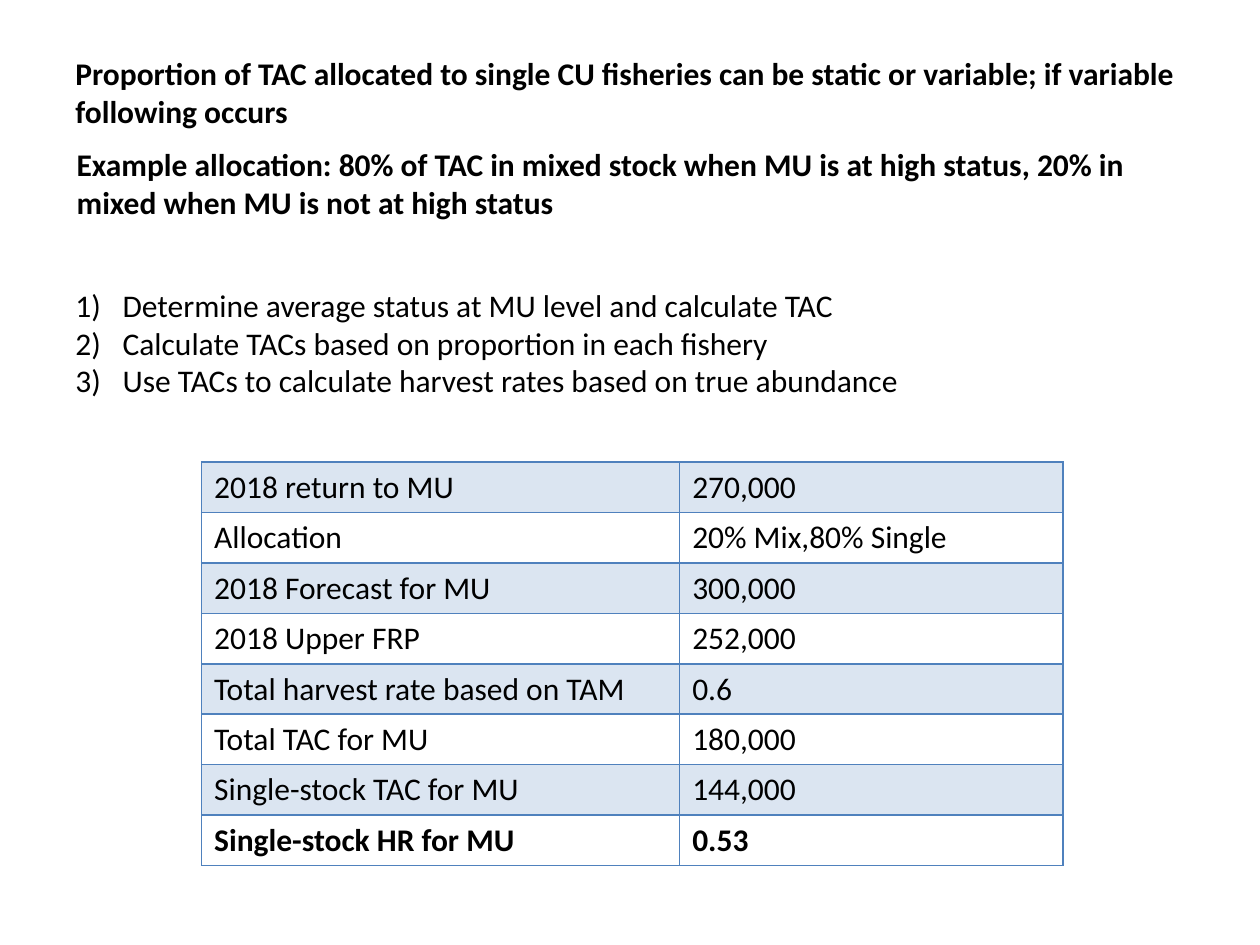
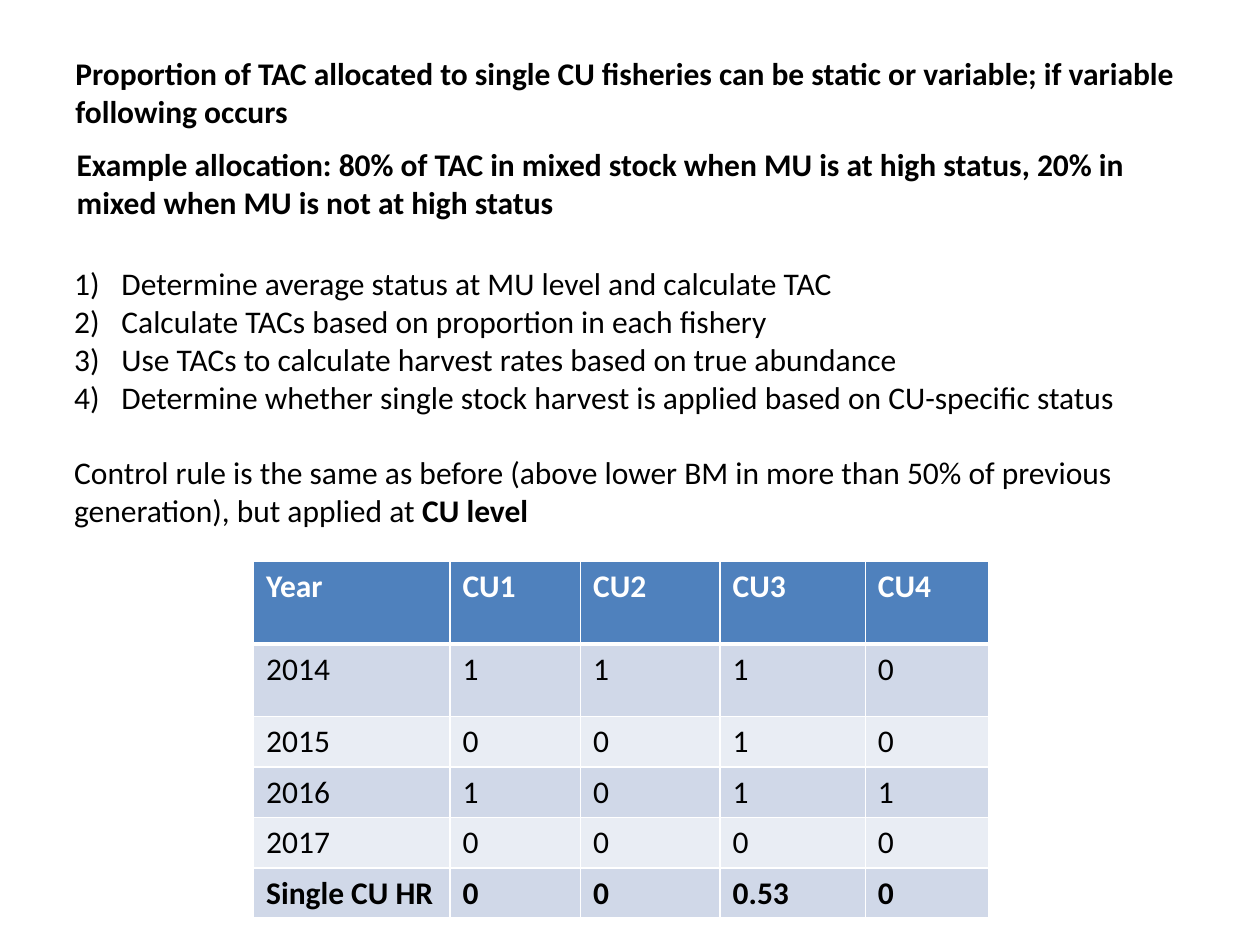
from lxml.etree import SubElement
from pptx import Presentation
from pptx.dml.color import RGBColor
from pptx.enum.text import MSO_AUTO_SIZE as AutoSize
from pptx.oxml.ns import qn
from pptx.util import Pt

BLACK, WHITE, BLUE = "000000", "FFFFFF", "4F81BD"
BAND_DARK, BAND_LIGHT = "D0D8E8", "E9EDF4"

PREMISE = ("Proportion of TAC allocated to single CU fisheries can be static "
           "or variable; if variable following occurs")
EXAMPLE = ("Example allocation: 80% of TAC in mixed stock when MU is at high "
           "status, 20% in mixed when MU is not at high status")
STEPS = [
    "Determine average status at MU level and calculate TAC",
    "Calculate TACs based on proportion in each fishery",
    "Use TACs to calculate harvest rates based on true abundance",
    "Determine whether single stock harvest is applied based on CU-specific status",
]
CONTROL_RULE = [
    ("Control rule is the same as before (above lower BM in more than 50% of "
     "previous generation), but applied at ", False),
    ("CU level", True),
]

MU_HARVEST = [
    ("2018 return to MU", "270,000"),
    ("Allocation", "20% Mix,80% Single"),
    ("2018 Forecast for MU", "300,000"),
    ("2018 Upper FRP", "252,000"),
    ("Total harvest rate based on TAM", "0.6"),
    ("Total TAC for MU", "180,000"),
    ("Single-stock TAC for MU", "144,000"),
    ("Single-stock HR for MU", "0.53"),
]
CU_STATUS = [
    ("Year", "CU1", "CU2", "CU3", "CU4"),
    ("2014", "1", "1", "1", "0"),
    ("2015", "0", "0", "1", "0"),
    ("2016", "1", "0", "1", "1"),
    ("2017", "0", "0", "0", "0"),
    ("Single CU HR", "0", "0", "0.53", "0"),
]


def rgb(color):
    return RGBColor.from_string(color)


def apply(target, formats):
    for name, value in formats.items():
        setattr(target, name, value)


class Deck:
    """Holds the text style and the slide being filled."""

    text_style = {"name": "Calibri", "size": Pt(18)}
    frame_style = {"word_wrap": True, "auto_size": AutoSize.SHAPE_TO_FIT_TEXT}
    plain_table = {"first_row": False, "horz_banding": False}
    step_indent = {"marL": Pt(27), "indent": Pt(-27)}
    row_height = 28.8

    def __init__(self):
        self.prs = Presentation()
        apply(self.prs, {"slide_width": Pt(720), "slide_height": Pt(540)})

    def new_slide(self):
        self.slide = self.prs.slides.add_slide(self.prs.slide_layouts[6])
        self.text_block(36, 27.4, 649, 51, [[(PREMISE, True)]])
        self.text_block(36.7, 79.2, 649, 51, [[(EXAMPLE, True)]])

    def add_text(self, paragraph, text, bold=False, color=BLACK):
        run = paragraph.add_run()
        run.text = text
        apply(run.font, {**self.text_style, "bold": bold})
        run.font.color.rgb = rgb(color)

    def text_block(self, left, top, width, height, paragraphs):
        """Add a text box; each paragraph is a list of (text, bold) runs."""
        box = self.slide.shapes.add_textbox(Pt(left), Pt(top), Pt(width), Pt(height))
        frame = box.text_frame
        apply(frame, self.frame_style)
        for index, runs in enumerate(paragraphs):
            paragraph = frame.add_paragraph() if index else frame.paragraphs[0]
            for text, bold in runs:
                self.add_text(paragraph, text, bold)
        return frame

    def steps(self, left, top, width, height, steps, closing=None):
        """Add numbered steps, with an optional unnumbered closing paragraph."""
        lines = [[(step, False)] for step in steps] + ([closing] if closing else [])
        frame = self.text_block(left, top, width, height, lines)
        for paragraph in frame.paragraphs[:len(steps)]:
            props = paragraph._p.get_or_add_pPr()
            for name, value in self.step_indent.items():
                props.set(name, str(value))
            SubElement(props, qn("a:buFont"), typeface="+mj-lt")
            SubElement(props, qn("a:buAutoNum"), type="arabicParenR")
        if closing:
            frame.paragraphs[-1].space_before = Pt(21.6)

    def cell_borders(self, cell, color, bottom_width):
        props = cell._tc.get_or_add_tcPr()
        for side, width in zip("LRTB", (1, 1, 1, bottom_width)):
            line = SubElement(props, qn(f"a:ln{side}"), w=str(Pt(width)))
            SubElement(SubElement(line, qn("a:solidFill")), qn("a:srgbClr"), val=color)

    def cell_fill(self, cell, color, opacity):
        if color is None:
            cell.fill.background()
            return
        cell.fill.solid()
        cell.fill.fore_color.rgb = rgb(color)
        if opacity < 100:
            swatch = cell._tc.tcPr.find(f"{qn('a:solidFill')}/{qn('a:srgbClr')}")
            SubElement(swatch, qn("a:alpha"), val=str(opacity * 1000))

    def table(self, left, top, rows, widths, bands, border, opacity=100,
              header=False, tall_rows=()):
        """Add a banded table whose last row is bold; tall_rows start the heights."""
        heights = list(tall_rows) + [self.row_height] * (len(rows) - len(tall_rows))
        table = self.slide.shapes.add_table(
            len(rows), len(widths), Pt(left), Pt(top),
            Pt(sum(widths)), Pt(sum(heights))).table
        apply(table, self.plain_table)
        for column, width in zip(table.columns, widths):
            column.width = Pt(width)
        for index, values in enumerate(rows):
            table.rows[index].height = Pt(heights[index])
            is_header = header and index == 0
            bold = is_header or index == len(rows) - 1
            fill = BLUE if is_header else bands[(index - header) % 2]
            for column, value in enumerate(values):
                cell = table.cell(index, column)
                self.cell_borders(cell, border, 3 if is_header else 1)
                self.cell_fill(cell, fill, opacity)
                self.add_text(cell.text_frame.paragraphs[0], value, bold,
                              WHITE if is_header else BLACK)


def main():
    deck = Deck()

    deck.new_slide()
    deck.steps(36, 159.8, 498, 72.7, STEPS[:3])
    deck.table(115.2, 264, MU_HARVEST, [273.2, 219.2], (BLUE, None), BLUE, opacity=20)

    deck.new_slide()
    deck.steps(35.3, 147.6, 649, 160, STEPS, CONTROL_RULE)
    deck.table(144.9, 320.8, CU_STATUS, [112.2, 74.7, 79.7, 83, 70.4],
               (BAND_DARK, BAND_LIGHT), WHITE, header=True, tall_rows=(47.2, 41.4))

    deck.prs.save("out.pptx")


if __name__ == "__main__":
    main()
